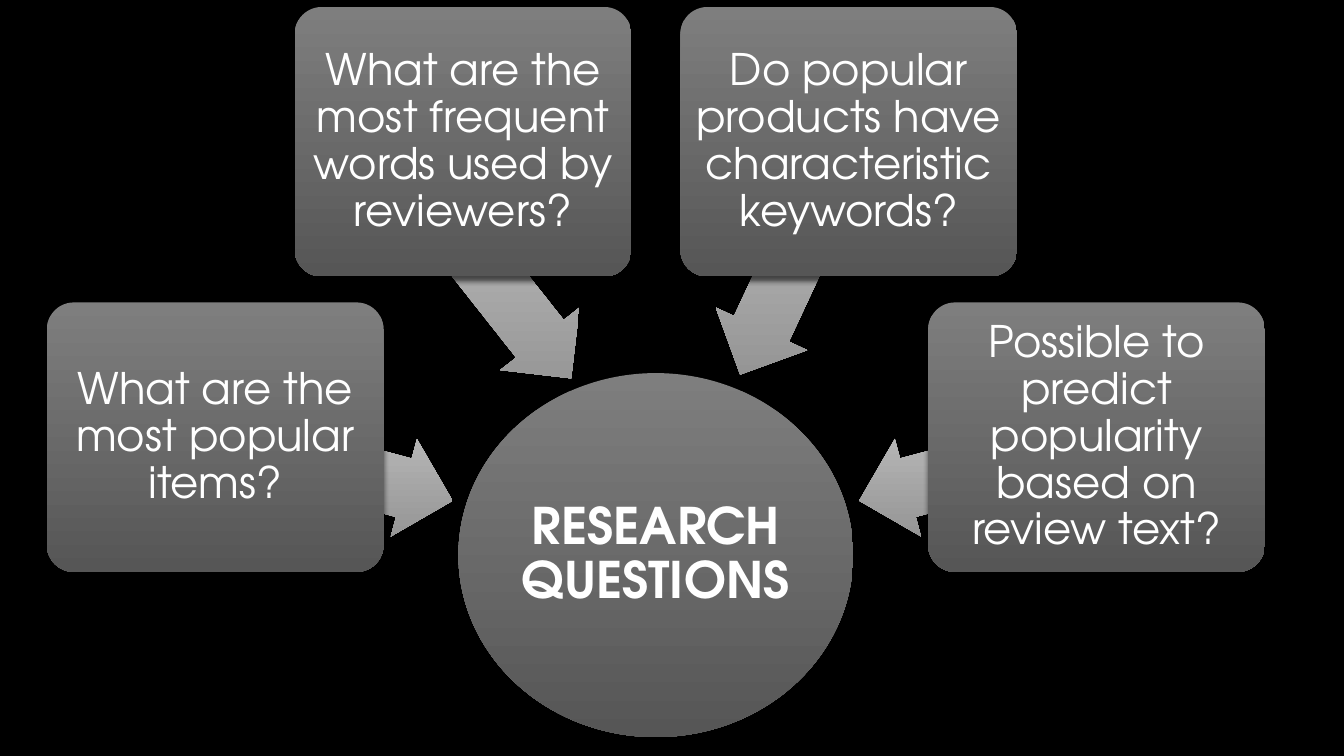
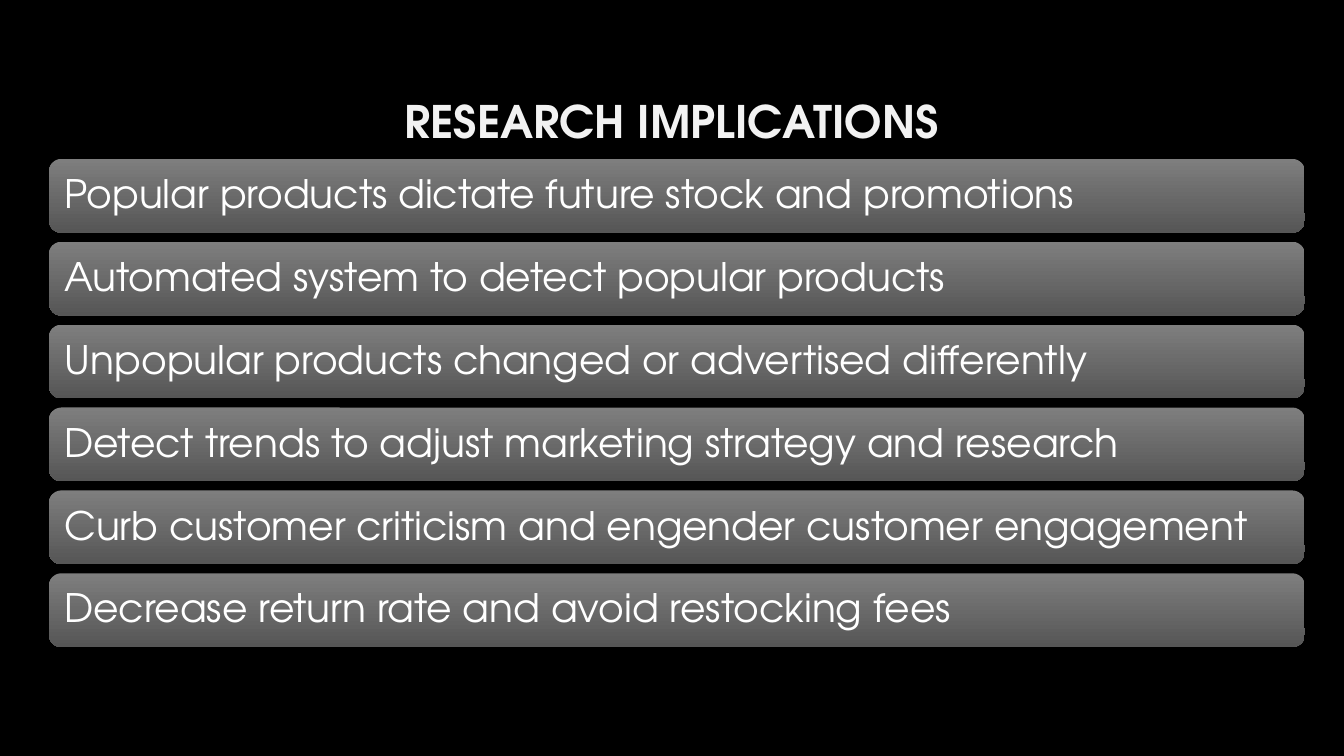
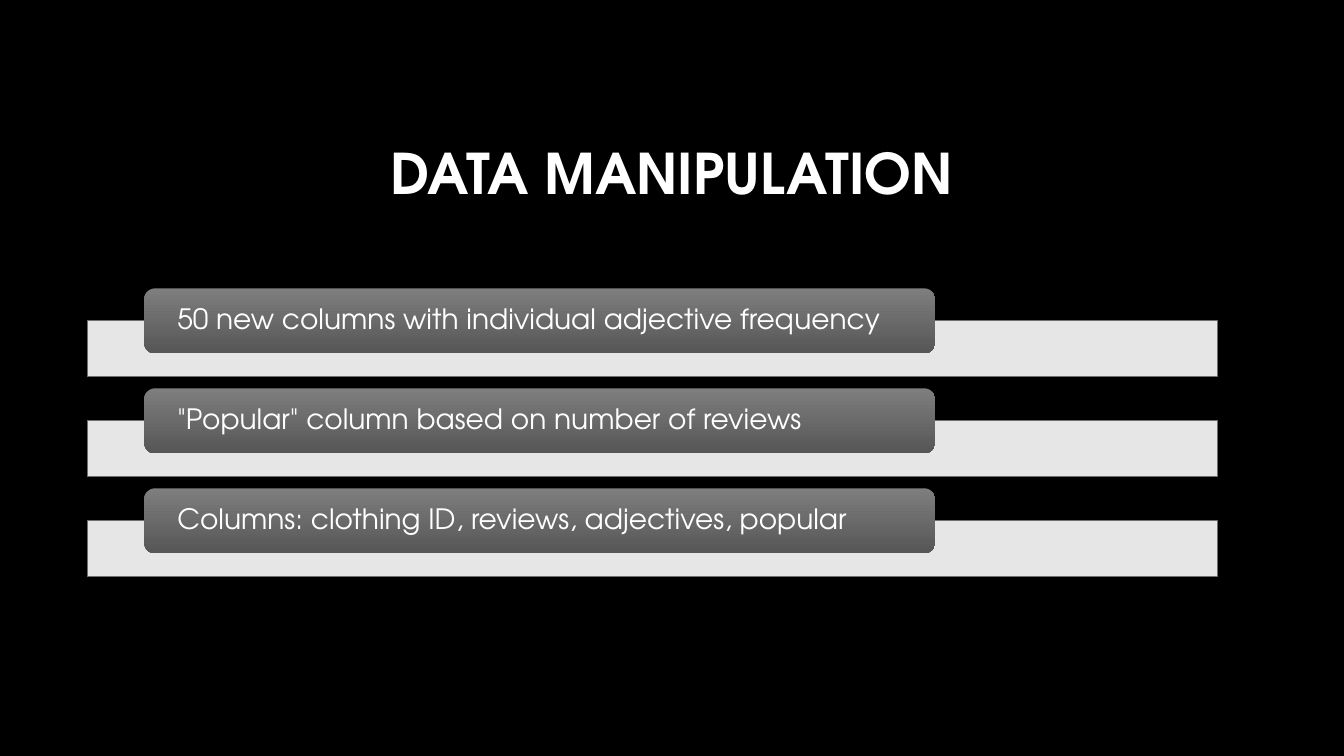
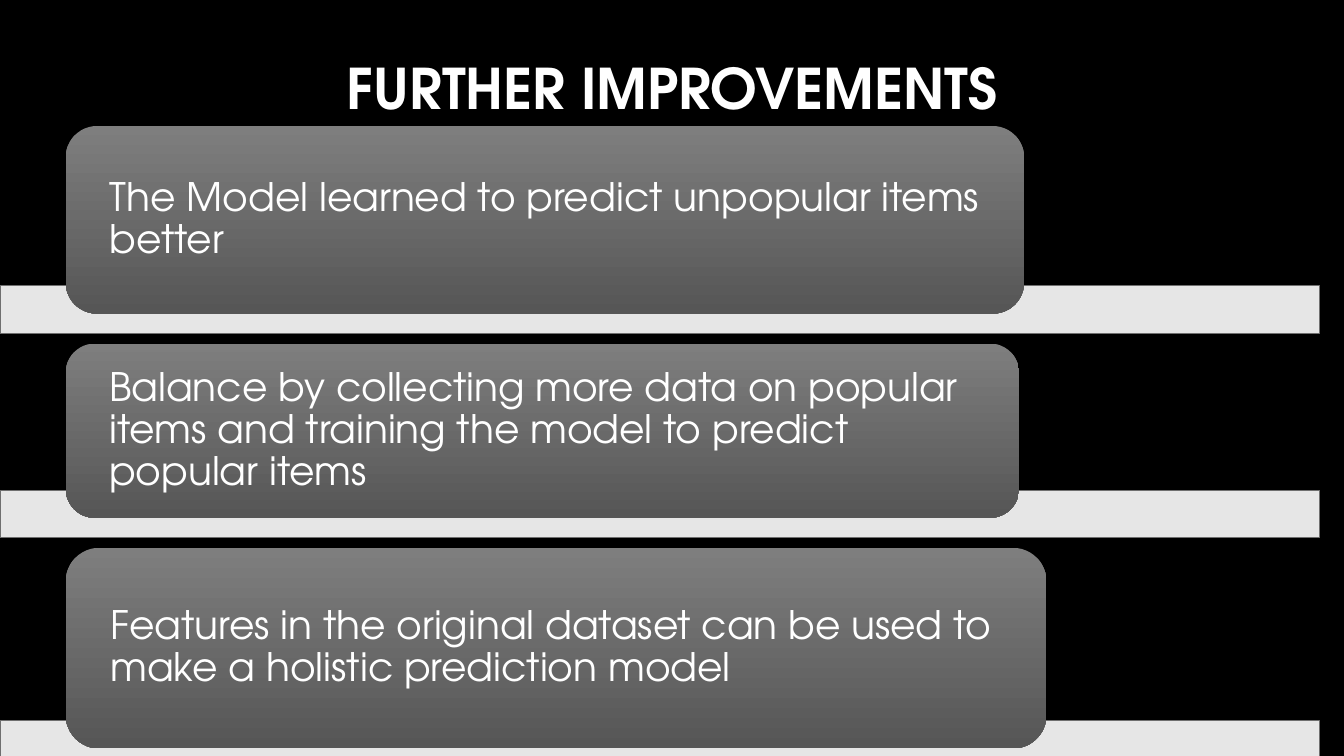
import dataclasses
import math

import pptx
import pptx.dml.color
import pptx.enum.shapes
import pptx.enum.text
import pptx.oxml
import pptx.oxml.ns
import pptx.util

Pt = pptx.util.Pt
SHAPE = pptx.enum.shapes.MSO_SHAPE
ALIGN = pptx.enum.text.PP_ALIGN
MIDDLE = pptx.enum.text.MSO_ANCHOR.MIDDLE


@dataclasses.dataclass(frozen=True)
class Theme:
    font: str = "TeX Gyre Adventor"
    background: str = "000000"
    text: str = "FFFFFF"
    soft_text: str = "F2F2F2"
    panel: tuple = ("7E7E7E", "565656")
    arrow: tuple = ("C6C6C6", "919191")
    stripe: str = "E6E6E6"
    stripe_line: str = "6F6F6F"
    title_size: int = 40
    small_title_size: int = 32
    hub_size: int = 36
    question_size: int = 31
    body_size: int = 28
    small_body_size: int = 20


THEME = Theme()

SHADOW = (
    '<a:effectLst %s><a:outerShdw blurRad="50800" dist="38100" dir="5400000" rotWithShape="0">'
    '<a:srgbClr val="000000"><a:alpha val="60000"/></a:srgbClr>'
    '</a:outerShdw></a:effectLst>' % pptx.oxml.ns.nsdecls("a")
)


def rgb(value):
    return pptx.dml.color.RGBColor.from_string(value)


def new_slide(prs):
    s = prs.slides.add_slide(prs.slide_layouts[6])
    s.background.fill.solid()
    s.background.fill.fore_color.rgb = rgb(THEME.background)
    return s


def write(sp, text, size, color=THEME.text, bold=False, align=ALIGN.LEFT, inset=(0, 0), spacing=0.9):
    """Put one paragraph in a shape; inset is (sides, top and bottom)."""
    tf = sp.text_frame
    tf.word_wrap = True
    tf.vertical_anchor = MIDDLE
    tf.margin_left = tf.margin_right = Pt(inset[0])
    tf.margin_top = tf.margin_bottom = Pt(inset[1])
    p = tf.paragraphs[0]
    p.alignment = align
    p.line_spacing = spacing
    r = p.add_run()
    r.text = text
    r.font.name = THEME.font
    r.font.size = Pt(size)
    r.font.bold = bold
    r.font.color.rgb = rgb(color)


def add_panel(s, kind, box, colors=THEME.panel, shadow=True):
    """Add a borderless shape shaded from the first colour down to the second."""
    sp = s.shapes.add_shape(kind, *map(Pt, box))
    sp.line.fill.background()
    sp.fill.gradient()
    sp.fill.gradient_angle = 270
    for stop, color, position in zip(sp.fill.gradient_stops, colors, (0, 1)):
        stop.color.rgb = rgb(color)
        stop.position = position
    spPr = sp._element.spPr
    spPr.find(pptx.oxml.ns.qn("a:gradFill")).set("rotWithShape", "0")
    if shadow:
        spPr.append(pptx.oxml.parse_xml(SHADOW))
    else:
        sp.shadow.inherit = False
    return sp


def add_title(s, text, middle, size=THEME.title_size, color=THEME.text):
    height = 60
    sp = s.shapes.add_textbox(Pt(90), Pt(middle - height / 2), Pt(780), Pt(height))
    write(sp, text, size, color, bold=True, align=ALIGN.CENTER, spacing=1)


def add_arrow(s, tail, length, angle):
    """Add an arrow from tail; angle is clockwise from rightwards."""
    width = 72
    turn = math.radians(angle)
    x = tail[0] + length / 2 * math.cos(turn)
    y = tail[1] + length / 2 * math.sin(turn)
    box = (x - length / 2, y - width / 2, length, width)
    sp = add_panel(s, SHAPE.LEFT_ARROW, box, THEME.arrow)
    sp.adjustments[0], sp.adjustments[1] = 0.6, 0.5
    sp.rotation = (angle + 180) % 360


def add_question(s, text, box):
    sp = add_panel(s, SHAPE.ROUNDED_RECTANGLE, box)
    sp.adjustments[0] = 0.1
    write(sp, text, THEME.question_size, align=ALIGN.CENTER, inset=(4.6, 4.6))


def questions_slide(prs, hub, questions):
    s = new_slide(prs)
    sp = add_panel(s, SHAPE.OVAL, (327.5, 266.5, 282, 260))
    write(sp, hub, THEME.hub_size, bold=True, align=ALIGN.CENTER, inset=(2.5, 2.5))
    w, h = 240.5, 192.5
    for text, x, y, shift, length, angle in questions:
        add_arrow(s, (x + w / 2 + shift[0], y + h / 2 + shift[1]), length, angle)
        add_question(s, text, (x, y, w, h))


def bars_slide(prs, title, items):
    s = new_slide(prs)
    add_title(s, title, 86, THEME.small_title_size, THEME.soft_text)
    for i, text in enumerate(items):
        sp = add_panel(s, SHAPE.ROUNDED_RECTANGLE, (35, 113.5 + 59.2 * i, 897, 52.7))
        write(sp, text, THEME.body_size, inset=(8.4, 8.4))


def add_stripe(s, box):
    sp = s.shapes.add_shape(SHAPE.RECTANGLE, *map(Pt, box))
    sp.shadow.inherit = False
    sp.fill.solid()
    sp.fill.fore_color.rgb = rgb(THEME.stripe)
    sp.line.color.rgb = rgb(THEME.stripe_line)
    sp.line.width = Pt(0.75)


def stripes_slide(prs, title, middle, items, stripe, tab, overlap, gap, size, inset):
    """Stack tabs, each lying over its stripe.

    stripe is (left, width, height), tab is the (left, top) of the first tab
    and items are (text, width, height) of each tab.
    """
    s = new_slide(prs)
    add_title(s, title, middle)
    left, width, height = stripe
    x, y = tab
    for text, w, h in items:
        stripe_top = y + h - overlap
        add_stripe(s, (left, stripe_top, width, height))
        sp = add_panel(s, SHAPE.ROUNDED_RECTANGLE, (x, y, w, h), shadow=False)
        write(sp, text, size, inset=(inset, 0))
        y = stripe_top + height + gap


def main():
    prs = pptx.Presentation()
    prs.slide_width, prs.slide_height = Pt(960), Pt(540)

    questions_slide(prs, "RESEARCH QUESTIONS", [
        ("What are the most popular items?", 33.5, 216, (0, 0), 175.5, 15),
        ("What are the most frequent words used by reviewers?", 210.5, 5, (-36.5, 25), 183.5, 51.7),
        ("Do popular products have characteristic keywords?", 486, 5, (0, 0), 183.5, 115),
        ("Possible to predict popularity based on review text?", 663, 216, (0, 0), 175.5, 165),
    ])

    bars_slide(prs, "RESEARCH IMPLICATIONS", [
        "Popular products dictate future stock and promotions",
        "Automated system to detect popular products",
        "Unpopular products changed or advertised differently",
        "Detect trends to adjust marketing strategy and research",
        "Curb customer criticism and engender customer engagement",
        "Decrease return rate and avoid restocking fees",
    ])

    columns = [
        "50 new columns with individual adjective frequency",
        "\"Popular\" column based on number of reviews",
        "Columns: clothing ID, reviews, adjectives, popular",
    ]
    stripes_slide(
        prs, "DATA MANIPULATION", 123, [(text, 565, 46.5) for text in columns],
        stripe=(62.5, 807, 39.7), tab=(103, 206), overlap=23.3, gap=8.5,
        size=THEME.small_body_size, inset=21.4)

    improvements = [
        ("The Model learned to predict unpopular items better", 684.5, 134),
        ("Balance by collecting more data on popular items and training the model to predict "
         "popular items", 681, 124.5),
        ("Features in the original dataset can be used to make a holistic prediction model",
         700.5, 143.3),
    ]
    stripes_slide(
        prs, "FURTHER IMPROVEMENTS", 62, improvements,
        stripe=(0, 942.5, 33.8), tab=(47, 90), overlap=19.7, gap=7.3,
        size=THEME.body_size, inset=25)

    prs.save("out.pptx")


if __name__ == "__main__":
    main()
